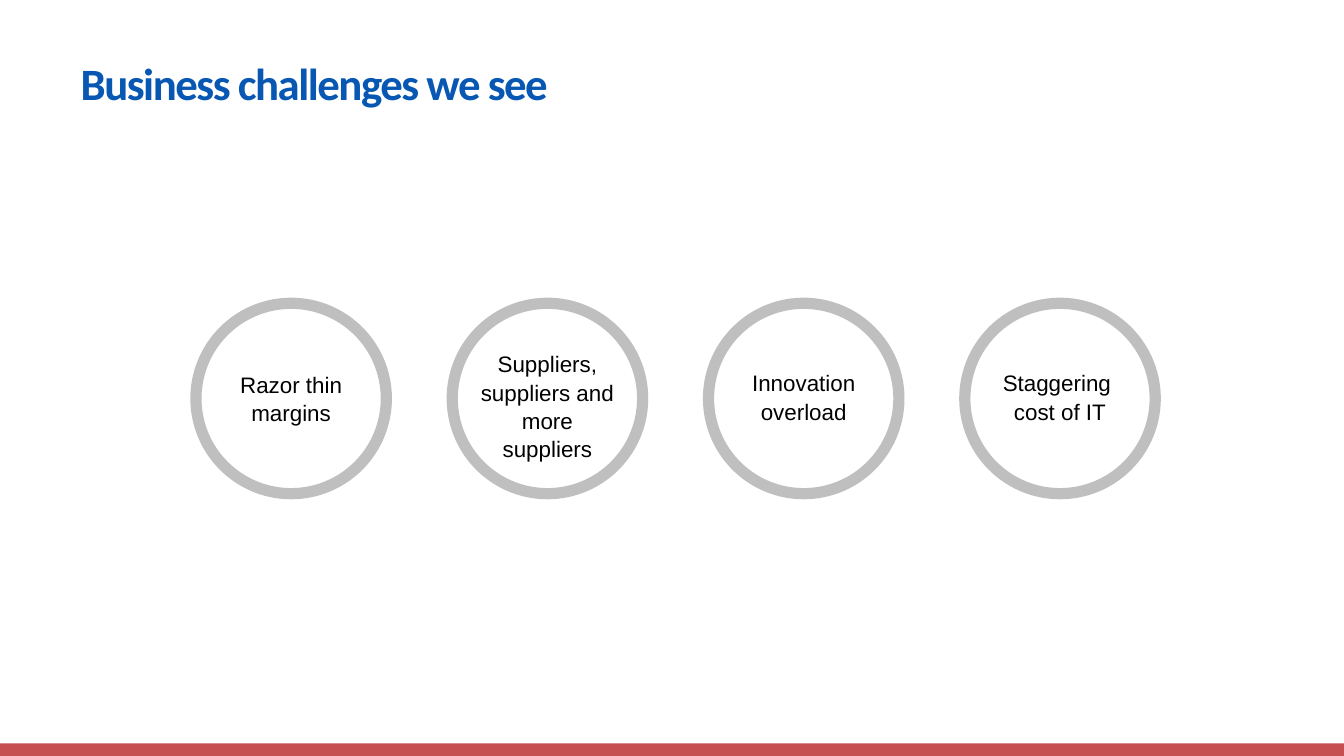
from dataclasses import dataclass

from pptx import Presentation
from pptx.dml.color import RGBColor
from pptx.enum.shapes import MSO_SHAPE
from pptx.enum.text import MSO_ANCHOR, PP_ALIGN
from pptx.util import Pt


@dataclass(frozen=True)
class Theme:
    title_color: RGBColor = RGBColor.from_string("0757B3")
    text_color: RGBColor = RGBColor.from_string("000000")
    ring_color: RGBColor = RGBColor.from_string("BFBFBF")
    bar_color: RGBColor = RGBColor.from_string("C64F51")
    title_font: str = "Calibri"
    text_font: str = "Arial"
    title_size: int = 24
    text_size: int = 12


theme = Theme()


def add_span(para, text, font, size, color):
    span = para.add_run()
    span.text = text
    span.font.name = font
    span.font.size = Pt(size)
    span.font.color.rgb = color
    return span


deck = Presentation()
deck.slide_width = Pt(720)
deck.slide_height = Pt(405)
page = deck.slides.add_slide(deck.slide_layouts[5])

# Footer bar
bar = page.shapes.add_shape(MSO_SHAPE.RECTANGLE, 0, Pt(398.3), Pt(720), Pt(6.7))
bar.shadow.inherit = False
bar.fill.solid()
bar.fill.fore_color.rgb = theme.bar_color
bar.line.fill.background()

# Title
title = page.shapes.title
title.left, title.top, title.width, title.height = Pt(36), Pt(30.2), Pt(630), Pt(28)
title.text_frame.word_wrap = True
title.text_frame.vertical_anchor = MSO_ANCHOR.MIDDLE
para = title.text_frame.paragraphs[0]
para.alignment = PP_ALIGN.LEFT
span = add_span(para, "Business challenges we see", theme.title_font,
                theme.title_size, theme.title_color)
span.font.bold = True
span.font._element.set("spc", "-80")

# Challenges: lines of the label and its top edge
challenges = [
    (["Razor thin margins"], 194.4),
    (["Suppliers, suppliers and more suppliers"], 183.6),
    (["Innovation overload"], 193.7),
    (["Staggering ", "cost of IT"], 193.7),
]
ring_left, ring_top, ring_size, pitch = 105, 162.5, 102, 137.3
label_width, label_height = 88.6, 41

for index, (lines, label_top) in enumerate(challenges):
    left = ring_left + index * pitch
    group = page.shapes.add_group_shape()

    # Label, centred on its ring
    box = group.shapes.add_textbox(Pt(left + (ring_size - label_width) / 2),
                                   Pt(label_top), Pt(label_width), Pt(label_height))
    box.text_frame.word_wrap = True
    para = box.text_frame.paragraphs[0]
    para.alignment = PP_ALIGN.CENTER
    para.line_spacing = 1.05
    for number, line in enumerate(lines):
        if number:
            para.add_line_break()
        add_span(para, line, theme.text_font, theme.text_size, theme.text_color)

    # Ring
    ring = group.shapes.add_shape(MSO_SHAPE.OVAL, Pt(left), Pt(ring_top),
                                  Pt(ring_size), Pt(ring_size))
    ring.shadow.inherit = False
    ring.fill.background()
    ring.line.color.rgb = theme.ring_color
    ring.line.width = Pt(6)

deck.save("out.pptx")
